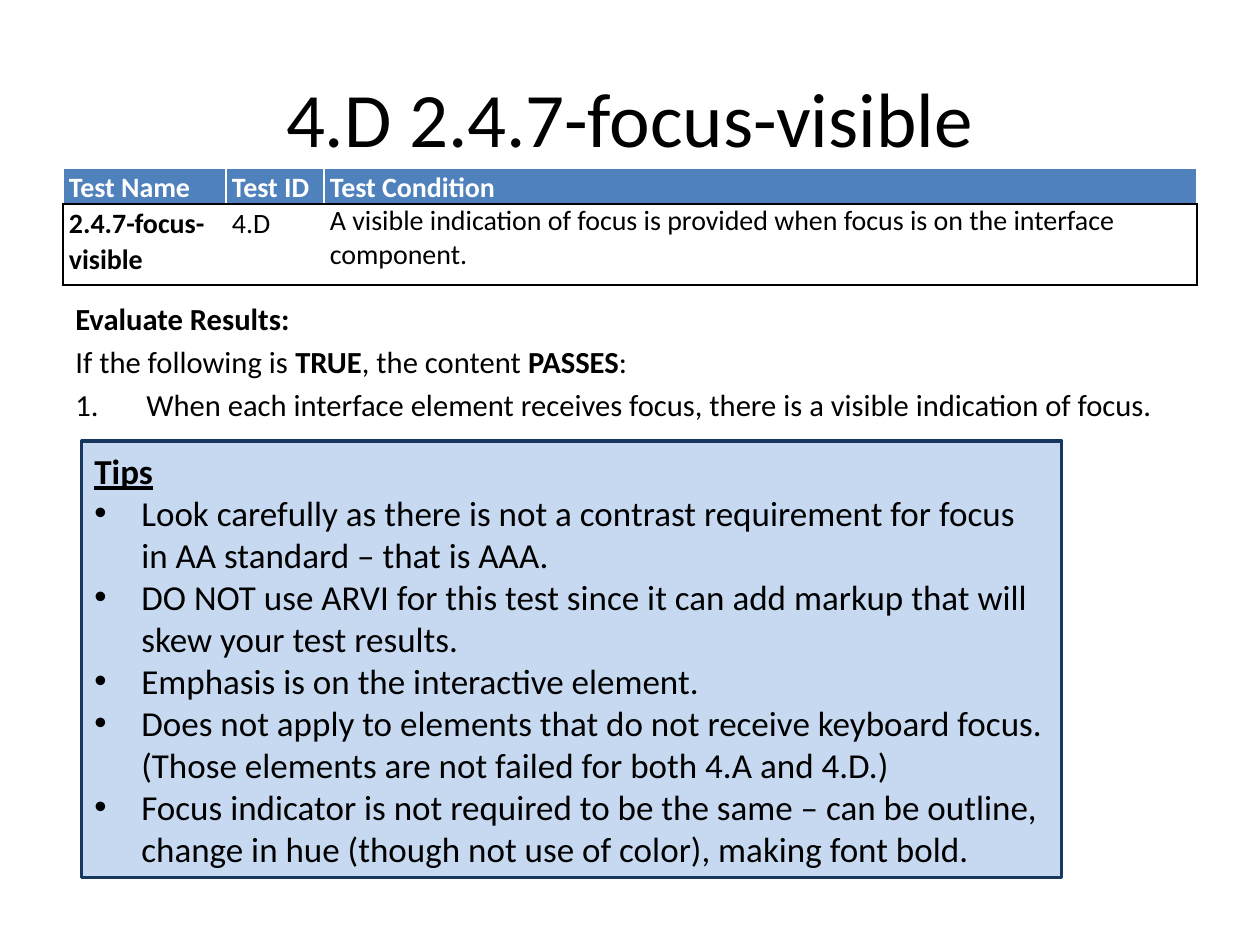
import pptx
import pptx.util
import pptx.dml.color
import pptx.enum.shapes
import pptx.enum.text
import pptx.oxml
from pptx.oxml.ns import qn

ANCHOR = pptx.enum.text.MSO_ANCHOR
BLACK, WHITE = "000000", "FFFFFF"


def px(n):
    return pptx.util.Emu(round(n * 914400 / 126))


def add_run(p, text, size, bold=False, color=BLACK):
    r = p.add_run()
    r.text = text
    r.font.name = "Calibri"
    r.font.size = pptx.util.Pt(size)
    r.font.bold = bold
    r.font.color.rgb = pptx.dml.color.RGBColor.from_string(color)
    return r


prs = pptx.Presentation()
prs.slide_width, prs.slide_height = px(1260), px(945)
s = prs.slides.add_slide(prs.slide_layouts[6])

title = s.shapes.add_textbox(px(63), px(38), px(1134), px(157))
tf = title.text_frame
tf.word_wrap = True
tf.vertical_anchor = ANCHOR.MIDDLE
p = tf.paragraphs[0]
p.alignment = pptx.enum.text.PP_ALIGN.CENTER
add_run(p, "4.D 2.4.7-focus-visible", 44)

rows = [
    ["Test Name", "Test ID", "Test Condition"],
    ["2.4.7-focus-visible", "4.D",
     "A visible indication of focus is provided when focus is on the interface component."],
]
tbl = s.shapes.add_table(2, 3, px(63), px(168), px(1134), px(116)).table
tbl.horz_banding = False
for col, width in zip(tbl.columns, [163, 98, 873]):
    col.width = px(width)
for row, height in zip(tbl.rows, [35, 81]):
    row.height = px(height)
for i, texts in enumerate(rows):
    for j, text in enumerate(texts):
        cell = tbl.cell(i, j)
        cell.margin_left = cell.margin_right = px(6)
        cell.margin_top = cell.margin_bottom = 0
        head = i == 0
        borders = {
            "L": BLACK if not head and j == 0 else WHITE,
            "R": BLACK if not head and j == 2 else WHITE,
            "T": WHITE if head else BLACK,
            "B": BLACK,
        }
        tcPr = cell._tc.get_or_add_tcPr()
        for side, color in borders.items():
            ln = pptx.oxml.parse_xml(
                '<a:ln%s xmlns:a="http://schemas.openxmlformats.org/drawingml/2006/main" w="12700">'
                '<a:solidFill><a:srgbClr val="%s"/></a:solidFill></a:ln%s>' % (side, color, side))
            tcPr.append(ln)
        if head:
            cell.fill.solid()
            cell.fill.fore_color.rgb = pptx.dml.color.RGBColor.from_string("4F81BD")
        else:
            cell.fill.background()
        p = cell.text_frame.paragraphs[0]
        if head or j < 2:
            p.line_spacing = 1.07
        add_run(p, text, 16, head or j == 0, WHITE if head else BLACK)

body = s.shapes.add_textbox(px(63), px(294), px(1144), px(126))
tf = body.text_frame
tf.word_wrap = True
lines = [
    [("Evaluate Results:", True)],
    [("If the following is ", False), ("TRUE", True), (", the content ", False),
     ("PASSES", True), (":", False)],
    [("When each interface element receives focus, there is a visible indication of focus.", False)],
]
for i, runs in enumerate(lines):
    p = tf.paragraphs[0] if i == 0 else tf.add_paragraph()
    p.space_before = pptx.util.Pt(3.5)
    for text, bold in runs:
        add_run(p, text, 17.5, bold)
pPr = p._p.get_or_add_pPr()
pPr.set("marL", str(px(71)))
pPr.set("indent", str(-px(71)))
pPr.append(pPr.makeelement(qn("a:buFont"), {"typeface": "+mj-lt"}))
pPr.append(pPr.makeelement(qn("a:buAutoNum"), {"type": "arabicPeriod"}))

sp = s.shapes.add_shape(pptx.enum.shapes.MSO_SHAPE.RECTANGLE, px(82), px(441), px(980), px(437))
sp.shadow.inherit = False
sp.fill.solid()
sp.fill.fore_color.rgb = pptx.dml.color.RGBColor.from_string("C6D9F1")
sp.line.color.rgb = pptx.dml.color.RGBColor.from_string("17375E")
sp.line.width = pptx.util.Pt(1.75)
tf = sp.text_frame
tf.word_wrap = True
tf.vertical_anchor = ANCHOR.MIDDLE
p = tf.paragraphs[0]
p.alignment = pptx.enum.text.PP_ALIGN.LEFT
p.space_before = pptx.util.Pt(12)
add_run(p, "Tips", 20, True).font.underline = True
tips = [
    "Look carefully as there is not a contrast requirement for focus in AA standard – that is AAA.",
    "DO NOT use ARVI for this test since it can add markup that will skew your test results.",
    "Emphasis is on the interactive element.",
    "Does not apply to elements that do not receive keyboard focus. "
    "(Those elements are not failed for both 4.A and 4.D.)",
    "Focus indicator is not required to be the same – can be outline, "
    "change in hue (though not use of color), making font bold.",
]
for tip in tips:
    p = tf.add_paragraph()
    p.alignment = pptx.enum.text.PP_ALIGN.LEFT
    pPr = p._p.get_or_add_pPr()
    pPr.set("marL", str(px(47)))
    pPr.set("indent", str(-px(47)))
    pPr.append(pPr.makeelement(qn("a:buFont"), {"typeface": "Arial"}))
    pPr.append(pPr.makeelement(qn("a:buChar"), {"char": "•"}))
    add_run(p, tip, 20)

prs.save("out.pptx")
